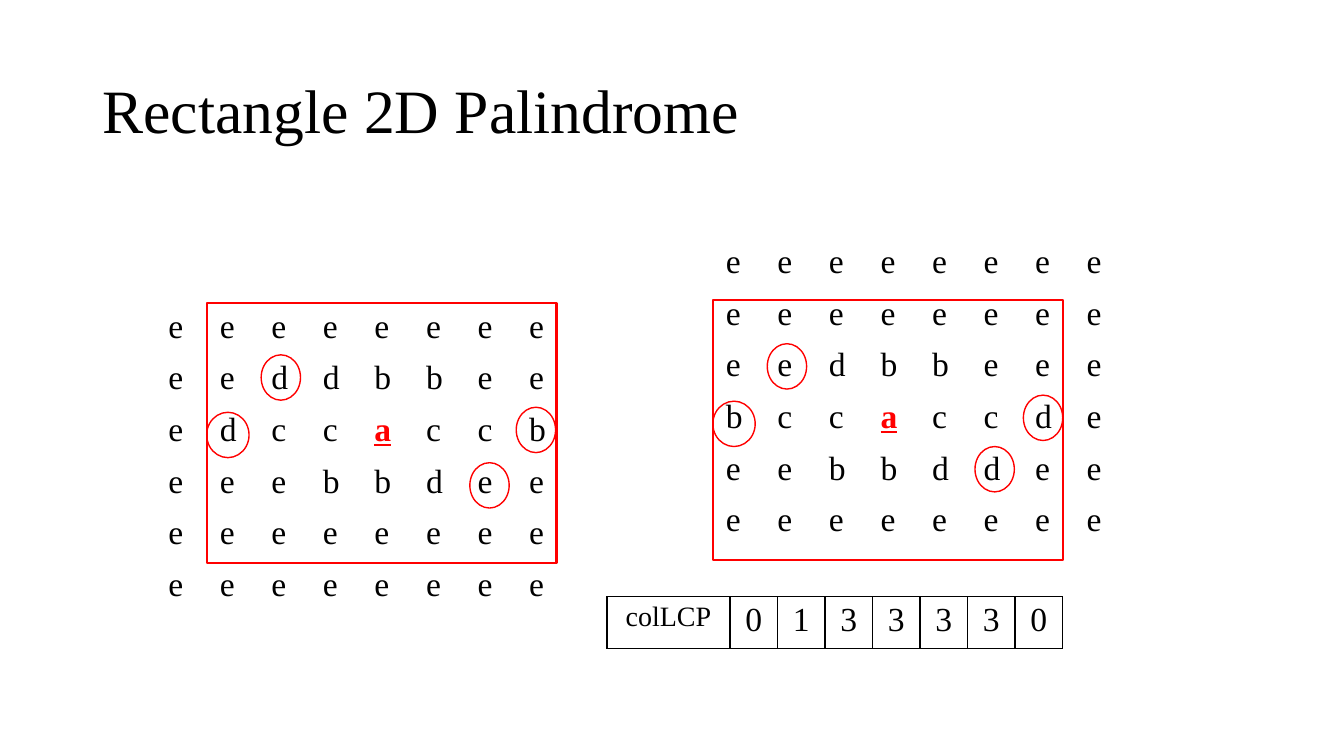
from lxml.etree import SubElement
from pptx import Presentation
from pptx.dml.color import RGBColor
from pptx.enum.shapes import MSO_SHAPE as Shape
from pptx.enum.text import MSO_ANCHOR as Anchor, PP_ALIGN as Align
from pptx.oxml.ns import qn
from pptx.util import Inches, Pt

BLACK = RGBColor(0x00, 0x00, 0x00)
RED = RGBColor(0xFF, 0x00, 0x00)

LEFT_LETTERS = ["eeeeeeee", "eeddbbee", "edccaccb", "eeebbdee", "eeeeeeee", "eeeeeeee"]
RIGHT_LETTERS = ["eeeeeeee", "eeeeeeee", "eedbbeee", "bccaccde", "eebbddee", "eeeeeeee"]
PREFIX_ROW = ["colLCP", *"0133330"]
MISMATCHES = [
    (10.15, 3.92, 0.39), (2.59, 3.52, 0.39), (2.05, 4.09, 0.42), (5.12, 4.04, 0.39),
    (7.61, 3.41, 0.39), (7.07, 3.98, 0.42), (9.67, 4.43, 0.39), (4.66, 4.59, 0.39),
]


class PalindromeSlide:
    font_name = "Times New Roman"

    def __init__(self, deck):
        self.page = deck.slides.add_slide(deck.slide_layouts[6])

    def style(self, para, size, color=BLACK):
        for span in para.runs:
            span.font.name = self.font_name
            span.font.size = Pt(size)
            span.font.color.rgb = color

    def title(self, text, left, top, width, height):
        box = self.page.shapes.add_textbox(
            Inches(left), Inches(top), Inches(width), Inches(height))
        frame = box.text_frame
        frame.word_wrap = True
        frame.vertical_anchor = Anchor.MIDDLE
        frame.text = text
        frame.paragraphs[0].line_spacing = 0.9
        self.style(frame.paragraphs[0], 44)

    def table(self, rows, left, top, widths, height):
        frame = self.page.shapes.add_table(
            len(rows), len(widths), Inches(left), Inches(top),
            Inches(sum(widths)), Inches(height))
        table = frame.table
        table.first_row = table.horz_banding = False
        for column, width in zip(table.columns, widths):
            column.width = Inches(width)
        for r, row in enumerate(rows):
            for c, text in enumerate(row):
                table.cell(r, c).text_frame.text = text
        return table

    def letter_grid(self, rows, left, top):
        table = self.table(rows, left, top, [4.09 / 8] * 8, 3.07)
        for cell in table.iter_cells():
            cell.fill.background()
            para = cell.text_frame.paragraphs[0]
            is_center = para.text == "a"
            self.style(para, 24, RED if is_center else BLACK)
            if is_center:
                para.runs[0].font.bold = para.runs[0].font.underline = True

    def prefix_table(self, values, left, top):
        table = self.table([values], left, top, [1.22] + [3.3 / 7] * 7, 0.51)
        for index, cell in enumerate(table.iter_cells()):
            self.border(cell)
            cell.fill.background()
            para = cell.text_frame.paragraphs[0]
            para.alignment = Align.CENTER
            self.style(para, 24 if index else 20)

    def border(self, cell):
        properties = cell._tc.get_or_add_tcPr()
        for side in ("lnL", "lnR", "lnT", "lnB"):
            line = SubElement(properties, qn(f"a:{side}"), w=str(Pt(1)))
            fill = SubElement(line, qn("a:solidFill"))
            SubElement(fill, qn("a:srgbClr"), val=str(BLACK))

    def outline(self, kind, left, top, width, height, weight):
        shape = self.page.shapes.add_shape(
            kind, Inches(left), Inches(top), Inches(width), Inches(height))
        shape.shadow.inherit = False
        shape.fill.background()
        shape.line.color.rgb = RED
        shape.line.width = Pt(weight)


def main():
    deck = Presentation()
    deck.slide_width, deck.slide_height = Inches(13.33), Inches(7.5)
    slide = PalindromeSlide(deck)

    # Title
    slide.title("Rectangle 2D Palindrome", 0.92, 0.4, 11.5, 1.45)

    # Letter grids with the palindrome rectangles
    slide.letter_grid(LEFT_LETTERS, 1.57, 3.01)
    slide.letter_grid(RIGHT_LETTERS, 7.1, 2.37)
    for left, top in [(2.05, 3.01), (7.07, 2.98)]:
        slide.outline(Shape.RECTANGLE, left, top, 3.47, 2.58, 1.5)

    # Common prefix lengths by column
    slide.prefix_table(PREFIX_ROW, 6.02, 5.92)

    # Circled mismatches
    for left, top, width in MISMATCHES:
        slide.outline(Shape.OVAL, left, top, width, 0.45, 1)

    deck.save("out.pptx")


if __name__ == "__main__":
    main()
